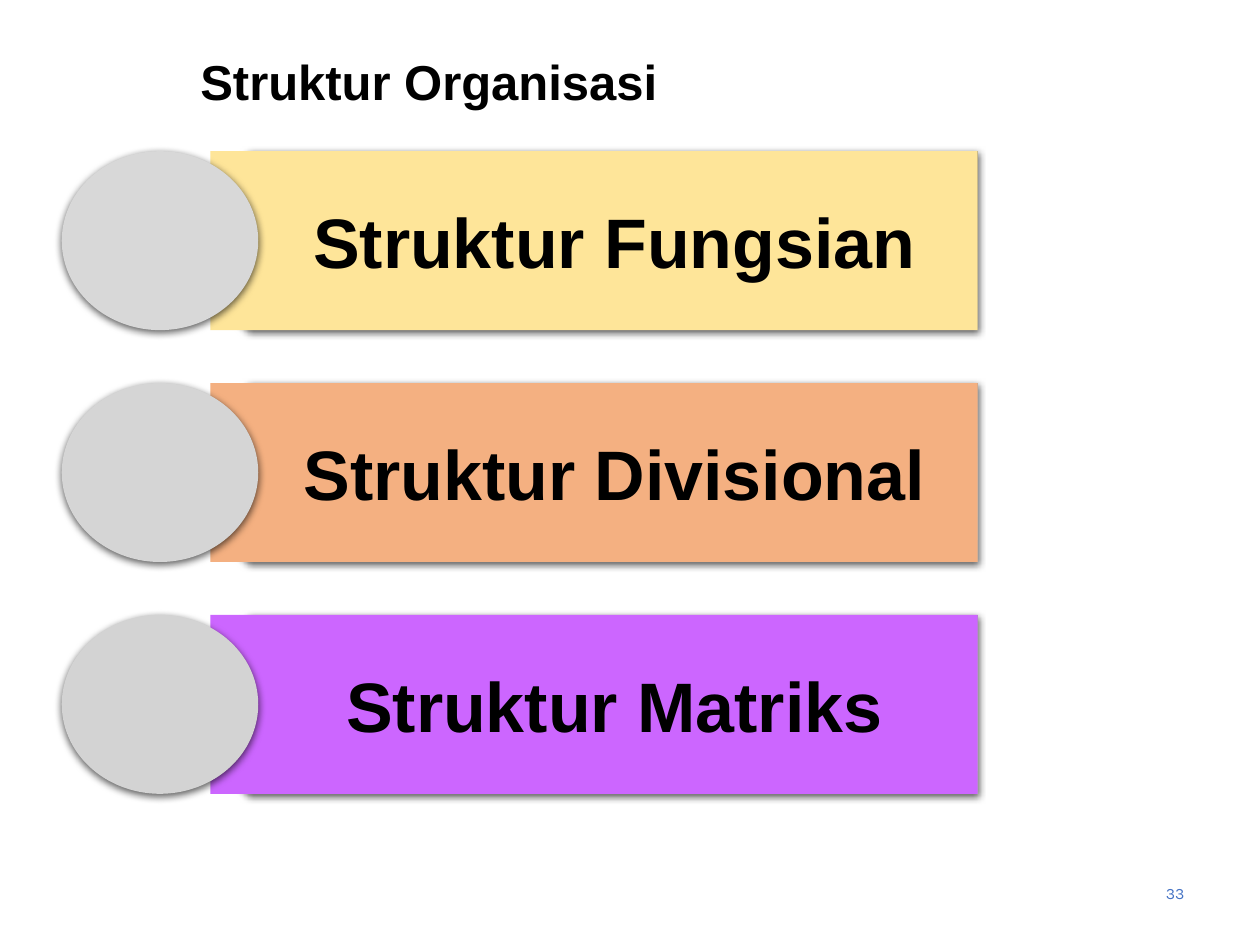
from lxml import etree
from pptx import Presentation
from pptx import util as u
from pptx.dml.color import RGBColor
from pptx.enum import shapes, text
from pptx.oxml import ns

ROWS = [
    ("Struktur Fungsian", "FEE599", "D8D8D8", ("878787", "787878", "696969")),
    ("Struktur Divisional", "F4B081", "D5D5D5", ("BDBDBD", "B5B5B5", "9F9F9F")),
    ("Struktur Matriks", "CC66FF", "D3D3D3", ("BDBDBD", "B5B5B5", "9F9F9F")),
]


def color(value):
    """Turn a hex string into a colour."""
    return RGBColor.from_string(value)


def add_element(parent, tag, **attributes):
    """Append a drawing element with the given attributes."""
    values = {name: str(value) for name, value in attributes.items()}
    return etree.SubElement(parent, ns.qn(tag), values)


def place(shape, left, top, width, height):
    """Move a shape to a box given in inches."""
    box = {"left": left, "top": top, "width": width, "height": height}
    for name, value in box.items():
        setattr(shape, name, u.Inches(value))


def write(shape, content, alignment, margins, font_color, **font_values):
    """Write one formatted, vertically centred paragraph."""
    frame = shape.text_frame
    sides = ("margin_left", "margin_top", "margin_right", "margin_bottom")
    frame_values = dict(zip(sides, map(u.Inches, margins)))
    frame_values.update(
        word_wrap=True,
        auto_size=text.MSO_AUTO_SIZE.NONE,
        vertical_anchor=text.MSO_ANCHOR.MIDDLE,
    )
    for name, value in frame_values.items():
        setattr(frame, name, value)
    paragraph = frame.paragraphs[0]
    paragraph.alignment = alignment
    run = paragraph.add_run()
    run.text = content
    for name, value in font_values.items():
        setattr(run.font, name, value)
    run.font.color.rgb = color(font_color)


def add_plain_shape(slide, kind, box, fill_color=None):
    """Add a preset shape without outline or shadow."""
    shape = slide.shapes.add_shape(kind, *map(u.Inches, box))
    if fill_color:
        shape.fill.solid()
        shape.fill.fore_color.rgb = color(fill_color)
    shape.line.fill.background()
    shape.shadow.inherit = False
    return shape


def add_shadow(shape):
    """Give a shape a soft shadow below it."""
    effects = shape._element.spPr.find(ns.qn("a:effectLst"))
    shadow = add_element(
        effects, "a:outerShdw", blurRad=u.Pt(4.5), dist=u.Pt(1.5),
        dir=5400000, algn="ctr", rotWithShape=0,
    )
    shade = add_element(shadow, "a:srgbClr", val="000000")
    add_element(shade, "a:alpha", val=62000)


def fill_gradient(shape, colors):
    """Fill a shape with evenly spaced vertical gradient stops."""
    shape.fill.gradient()
    shape.fill.gradient_angle = 270
    stops = shape._element.spPr.find(".//" + ns.qn("a:gsLst"))
    for stop in list(stops):
        stops.remove(stop)
    for index, value in enumerate(colors):
        position = 100000 * index // (len(colors) - 1)
        stop = add_element(stops, "a:gs", pos=position)
        add_element(stop, "a:srgbClr", val=value)


def add_title(slide, left, top, width, height):
    """Fill the title placeholder."""
    title = slide.shapes.title
    place(title, left, top, width, height)
    write(title, "Struktur Organisasi", text.PP_ALIGN.LEFT, (0.1, 0.05, 0.1, 0.05),
          "000000", name="Arial", size=u.Pt(28), bold=True)


def add_row(slide, left, top, width, height, row):
    """Add one band with its arrow backing and circle."""
    label, band_color, circle_color, arrow_colors = row
    kinds = shapes.MSO_SHAPE
    arrow = add_plain_shape(slide, kinds.PENTAGON, (left + 0.78, top, width - 0.78, height))
    arrow.rotation = 180
    fill_gradient(arrow, arrow_colors)
    add_shadow(arrow)
    band_box = (left + 1.18, top, width - 1.18, height)
    band = add_plain_shape(slide, kinds.RECTANGLE, band_box, band_color)
    write(band, label, text.PP_ALIGN.CENTER, (0.63, 0.17, 0.31, 0.17),
          "000000", name="Arial", size=u.Pt(40), bold=True)
    circle = add_plain_shape(slide, kinds.OVAL, (left, top, 1.56, height), circle_color)
    add_shadow(circle)


def add_rows(slide, left, top, width, height):
    """Spread the rows evenly over a box."""
    row_height = 1.42
    step = (height - row_height) / (len(ROWS) - 1)
    for index, row in enumerate(ROWS):
        add_row(slide, left, top + index * step, width, row_height, row)


def add_page_number(slide, left, top, width, height):
    """Add the page number at the bottom right."""
    number = slide.shapes.add_textbox(*map(u.Inches, (left, top, width, height)))
    write(number, "33", text.PP_ALIGN.RIGHT, (0.1, 0.05, 0.1, 0.05),
          "4472C4", name="Karla", size=u.Pt(9))


def main():
    """Build and save the slide."""
    presentation = Presentation()
    presentation.slide_width = u.Inches(10)
    presentation.slide_height = u.Inches(7.5)
    slide = presentation.slides.add_slide(presentation.slide_layouts[5])
    slide.background.fill.solid()
    slide.background.fill.fore_color.rgb = color("FFFFFF")
    add_page_number(slide, 7.17, 6.83, 2.33, 0.52)
    add_rows(slide, 0.49, 1.2, 7.27, 5.1)
    add_title(slide, 1.49, 0.27, 5.27, 0.75)
    presentation.save("out.pptx")


if __name__ == "__main__":
    main()
